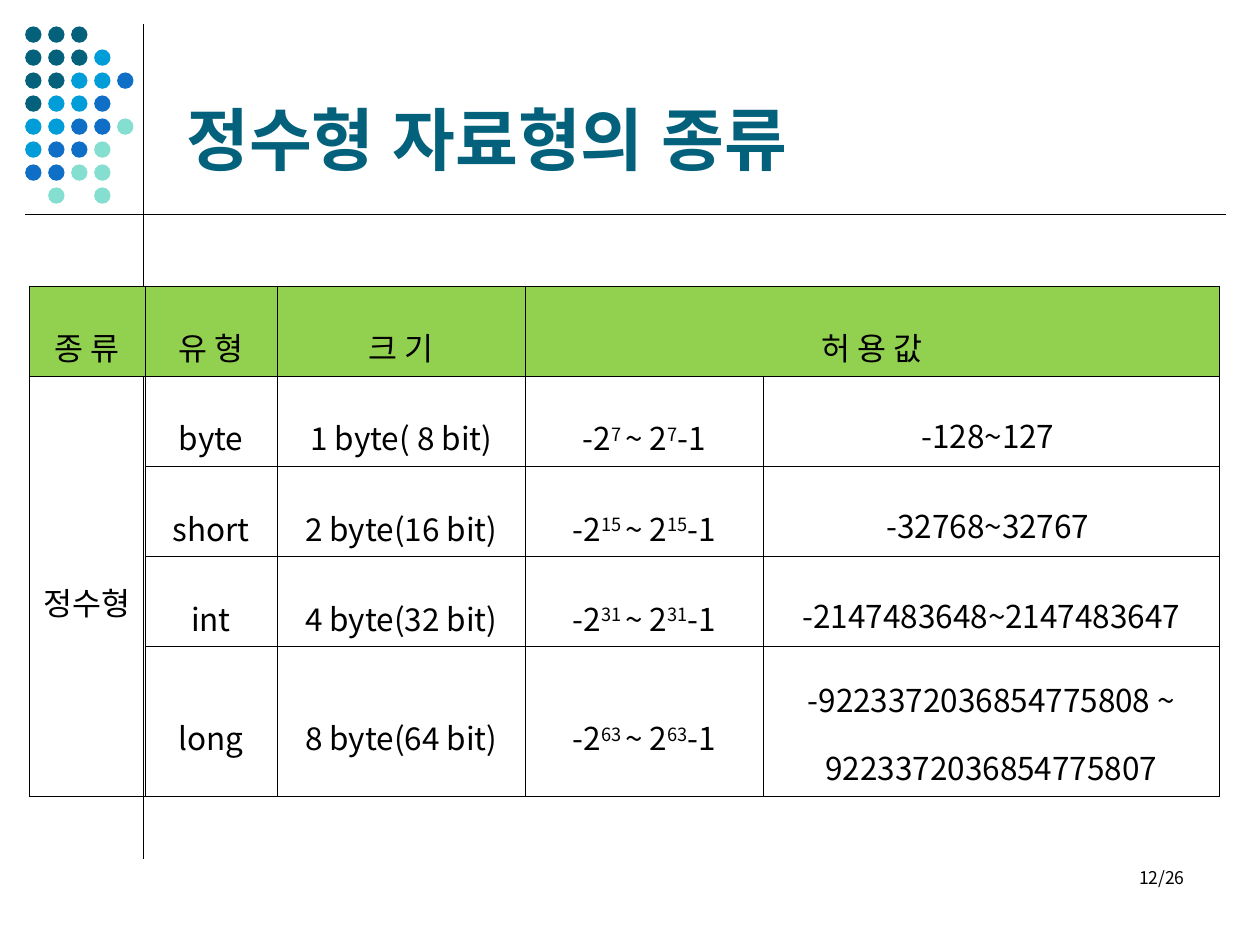
from lxml import etree
from pptx import Presentation
from pptx.dml.color import RGBColor
from pptx.enum import shapes, text
from pptx.oxml import ns
from pptx.util import Inches, Pt

SANS, CJK = "Noto Sans", "Noto Sans CJK KR"
TEAL, BLACK, GREEN = "04617B", "000000", "92D050"
TONES = {"T": TEAL, "S": "009DD9", "B": "0F6FC6", "M": "85DFD0"}
DOTS = ["TTT", "TTTS", "TTSSB", "TSSB", "SSBBM", "SBBM", "BBMM", " M M"]
COLS = [0.92, 1.05, 1.97, 1.89, 3.62]
ROWS = [0.55, 0.55, 0.55, 0.55, 0.94]
HEADS = ["종 류", "유 형", "크 기", "허 용 값"]
TYPES = [
    ("byte", "1 byte( 8 bit)", "7", ["-128~127 "], 1.6),
    ("short", "2 byte(16 bit)", "15", ["-32768~32767 "], 1.6),
    ("int", "4 byte(32 bit)", "31", ["-2147483648~2147483647"], 1.6),
    ("long", "8 byte(64 bit)", "63",
     ["-9223372036854775808 ~", "9223372036854775807"], 1.5),
]


def rgb(code):
    return RGBColor.from_string(code)


def sub(parent, tag, **attrs):
    return etree.SubElement(parent, ns.qn(tag), attrs)


def style(para, size, face, align, color=BLACK, bold=False):
    para.alignment = align
    font = para.font
    font.size, font.name, font.bold = Pt(size), face, bold
    font.color.rgb = rgb(color)
    sub(para._p.pPr.find(ns.qn("a:defRPr")), "a:ea", typeface=face)


def add_line(slide, x1, y1, x2, y2):
    line = slide.shapes.add_connector(
        shapes.MSO_CONNECTOR.STRAIGHT,
        Inches(x1), Inches(y1), Inches(x2), Inches(y2))
    line.line.color.rgb = rgb(BLACK)
    line.line.width = Pt(0.75)
    sub(line._element.spPr, "a:effectLst")


def add_dots(slide):
    group = slide.shapes.add_group_shape()
    step = 0.73 / 4
    for row, tones in enumerate(DOTS):
        for col, tone in enumerate(tones):
            if tone == " ":
                continue
            dot = group.shapes.add_shape(
                shapes.MSO_SHAPE.OVAL,
                Inches(0.2 + col * step), Inches(0.21 + row * step),
                Inches(0.13), Inches(0.13))
            dot.shadow.inherit = False
            dot.fill.solid()
            dot.fill.fore_color.rgb = rgb(TONES[tone])
            dot.line.fill.background()


def set_title(slide, words):
    title = slide.shapes.title
    title.left, title.top = Inches(1.38), Inches(0.21)
    title.width, title.height = Inches(8.25), Inches(1.26)
    frame = title.text_frame
    frame.text = words
    frame.auto_size = text.MSO_AUTO_SIZE.NONE
    frame.vertical_anchor = text.MSO_ANCHOR.BOTTOM
    style(frame.paragraphs[0], 39, SANS, text.PP_ALIGN.LEFT, TEAL, True)


def add_borders(cell):
    props = cell._tc.get_or_add_tcPr()
    for side in "LRTB":
        edge = sub(props, f"a:ln{side}", w=str(Pt(0.11)))
        sub(sub(edge, "a:solidFill"), "a:srgbClr", val=BLACK)


def fill_cell(cell, lines, space=1.7):
    """Write one paragraph per line; a line is a list of (words, raised) runs."""
    frame = cell.text_frame
    for i, runs in enumerate(lines):
        para = frame.add_paragraph() if i else frame.paragraphs[0]
        style(para, 18, CJK, text.PP_ALIGN.CENTER)
        para.line_spacing = space
        for words, raised in runs:
            run = para.add_run()
            run.text = words
            if raised:
                run._r.get_or_add_rPr().set("baseline", "30000")


def plain(words):
    return [(words, False)]


def power_range(power):
    return [("-2", False), (power + " ", True), ("~ 2", False),
            (power, True), ("-1", False)]


def add_types(slide):
    table = slide.shapes.add_table(
        len(ROWS), len(COLS), Inches(0.23), Inches(2.27),
        Inches(sum(COLS)), Inches(sum(ROWS))).table
    table.first_row = table.horz_banding = False
    for col, width in zip(table.columns, COLS):
        col.width = Inches(width)
    for row, height in zip(table.rows, ROWS):
        row.height = Inches(height)
    for i, row in enumerate(table.rows):
        for cell in row.cells:
            cell.margin_left = cell.margin_right = Inches(0.02)
            cell.vertical_anchor = text.MSO_ANCHOR.MIDDLE
            add_borders(cell)
            if i:
                cell.fill.background()
            else:
                cell.fill.solid()
                cell.fill.fore_color.rgb = rgb(GREEN)
    table.cell(0, 3).merge(table.cell(0, 4))
    table.cell(1, 0).merge(table.cell(4, 0))

    for col, head in enumerate(HEADS):
        fill_cell(table.cell(0, col), [plain(head)])
    fill_cell(table.cell(1, 0), [plain("정수형")])
    for row, (name, size, power, limits, space) in enumerate(TYPES, 1):
        fill_cell(table.cell(row, 1), [plain(name)])
        fill_cell(table.cell(row, 2), [plain(size)])
        fill_cell(table.cell(row, 3), [power_range(power)])
        fill_cell(table.cell(row, 4), [plain(limit) for limit in limits], space)


def add_page(slide, words):
    box = slide.shapes.add_textbox(
        Inches(7.17), Inches(6.83), Inches(2.33), Inches(0.5))
    box.text_frame.word_wrap = True
    box.text_frame.text = words
    style(box.text_frame.paragraphs[0], 10, CJK, text.PP_ALIGN.RIGHT)


def main():
    deck = Presentation()
    deck.slide_width, deck.slide_height = Inches(10), Inches(7.5)
    slide = deck.slides.add_slide(deck.slide_layouts[5])
    add_line(slide, 1.14, 0.19, 1.14, 6.82)
    add_dots(slide)
    add_line(slide, 0.2, 1.7, 9.73, 1.7)
    set_title(slide, "정수형 자료형의 종류")
    add_types(slide)
    add_page(slide, "12/26")
    deck.save("out.pptx")


if __name__ == "__main__":
    main()
